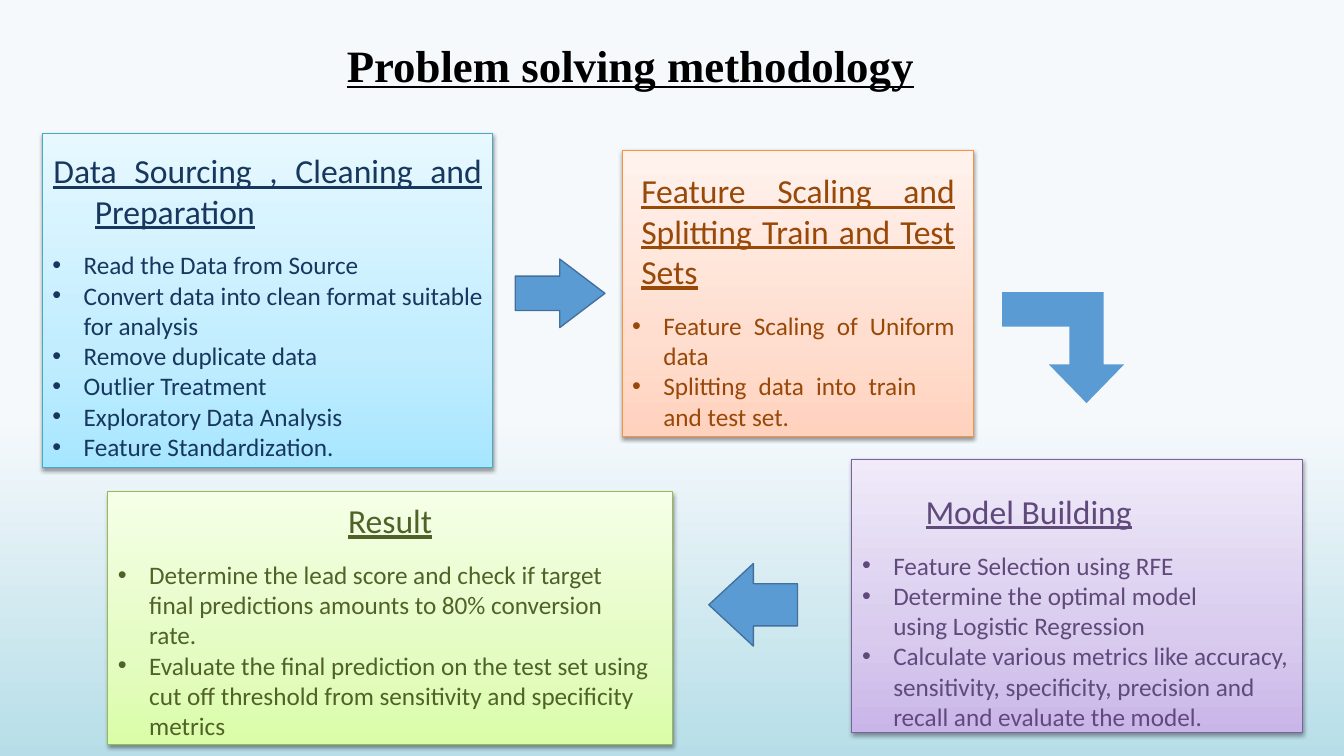
from copy import deepcopy
from dataclasses import dataclass

from lxml import etree
from pptx import Presentation
from pptx.dml.color import RGBColor
from pptx.enum.shapes import MSO_SHAPE
from pptx.enum.text import MSO_ANCHOR, PP_ALIGN
from pptx.oxml.ns import qn
from pptx.util import Inches, Pt

RECTANGLE = MSO_SHAPE.RECTANGLE
RIGHT_ARROW = MSO_SHAPE.RIGHT_ARROW
LEFT_ARROW = MSO_SHAPE.LEFT_ARROW
BENT_ARROW = MSO_SHAPE.BENT_UP_ARROW
TOP = MSO_ANCHOR.TOP
LEFT, CENTER, JUSTIFY = PP_ALIGN.LEFT, PP_ALIGN.CENTER, PP_ALIGN.JUSTIFY


@dataclass(frozen=True)
class Palette:
    """Text, line and gradient stops (percent, colour) from bottom to top."""
    text: str
    line: str
    stops: tuple


class Theme:
    title_font = "Times New Roman"
    body_font = "Calibri"
    bullet_font = "Arial"
    title_size, heading_size, bullet_size = 32, 24, 18
    heading_gap = 13.5
    title_color = "000000"
    arrow_fill, arrow_line = "5B9BD4", "41709C"
    background = ((55, "F6F9FC"), (100, "B7DEE8"))
    blue = Palette("17375E", "46AAC5", ((0, "A7E6FF"), (35, "C1EDFF"), (100, "E7F8FF")))
    orange = Palette("984807", "F69240", ((0, "FFD2BD"), (35, "FFDED0"), (100, "FFF2ED")))
    purple = Palette("604A7B", "7D60A0", ((0, "C9B5E8"), (35, "D8CBEE"), (100, "F0EAF9")))
    green = Palette("4F6228", "98B955", ((0, "DAFDA7"), (35, "E4FCC2"), (100, "F5FFE7")))


def color_stops(fill, stops, angle):
    fill.gradient_angle = angle
    for stop, (percent, color) in zip(fill.gradient_stops, stops):
        stop.position = percent / 100
        stop.color.rgb = RGBColor.from_string(color)


def add_soft_shadow(shape):
    effects = etree.SubElement(shape._element.spPr, qn("a:effectLst"))
    shadow = etree.SubElement(effects, qn("a:outerShdw"), blurRad=str(Pt(3.1)),
                              dist=str(Pt(1.6)), dir="5400000", rotWithShape="0")
    black = etree.SubElement(shadow, qn("a:srgbClr"), val="000000")
    etree.SubElement(black, qn("a:alpha"), val="38000")


def write(para, text, *, font, size, color, bold=False, underline=False, align=LEFT,
          indent=0, hanging=0, right=0, before=0, bullet=False):
    """Fill a paragraph; indent, hanging and right are in inches, before in points."""
    settings = para._p.get_or_add_pPr()
    settings.set("marL", str(Inches(indent)))
    settings.set("indent", str(-Inches(hanging)))
    settings.set("marR", str(Inches(right)))
    if bullet:
        etree.SubElement(settings, qn("a:buFont"), typeface=Theme.bullet_font)
        etree.SubElement(settings, qn("a:buChar"), char="•")
    para.alignment = align
    para.space_before = Pt(before)
    span = para.add_run()
    span.text = text
    span.font.name, span.font.size = font, Pt(size)
    span.font.bold, span.font.underline = bold, underline
    span.font.color.rgb = RGBColor.from_string(color)


class SlideBuilder:
    def __init__(self, deck, theme):
        self.theme = theme
        self.page = deck.slides.add_slide(deck.slide_layouts[6])
        fill = self.page.background.fill
        fill.gradient()
        color_stops(fill, theme.background, 270)

    def frame(self, box, top):
        frame = box.text_frame
        frame.word_wrap = True
        frame.vertical_anchor = TOP
        frame.margin_left = frame.margin_right = frame.margin_bottom = 0
        frame.margin_top = Inches(top)
        return frame

    def title(self, text, left, top, width, height):
        box = self.page.shapes.add_textbox(*map(Inches, (left, top, width, height)))
        write(self.frame(box, 0.03).paragraphs[0], text, font=self.theme.title_font,
              size=self.theme.title_size, color=self.theme.title_color,
              bold=True, underline=True)

    def shape(self, kind, bounds):
        shape = self.page.shapes.add_shape(kind, *map(Inches, bounds))
        shape.shadow.inherit = False
        return shape

    def card(self, bounds, palette, heading, bullets, *, top, heading_format, align=LEFT):
        """Draw a stage box; bullets are (text, paragraph format) pairs."""
        box = self.shape(RECTANGLE, bounds)
        box.fill.gradient()
        stop_list = box._element.spPr.find(".//" + qn("a:gsLst"))
        stop_list.append(deepcopy(stop_list[-1]))
        color_stops(box.fill, palette.stops, 90)
        box.line.color.rgb = RGBColor.from_string(palette.line)
        box.line.width = Pt(0.75)
        box._element.spPr.remove(box._element.spPr.find(qn("a:effectLst")))
        add_soft_shadow(box)

        frame = self.frame(box, top)
        style = {"font": self.theme.body_font, "color": palette.text, "align": align}
        write(frame.paragraphs[0], heading, size=self.theme.heading_size,
              underline=True, **{**style, **heading_format})
        for number, (text, extra) in enumerate(bullets):
            layout = {"indent": 0.41, "hanging": 0.31, "right": 0.1, "bullet": True,
                      "before": 0 if number else self.theme.heading_gap}
            write(frame.add_paragraph(), text, size=self.theme.bullet_size,
                  **{**style, **layout, **extra})

    def arrow(self, kind, bounds, adjustments, *, outlined=True, flipped=False):
        arrow = self.shape(kind, bounds)
        for number, value in enumerate(adjustments):
            arrow.adjustments[number] = value
        arrow.fill.solid()
        arrow.fill.fore_color.rgb = RGBColor.from_string(self.theme.arrow_fill)
        if outlined:
            arrow.line.color.rgb = RGBColor.from_string(self.theme.arrow_line)
            arrow.line.width = Pt(0.96)
        else:
            arrow.line.fill.background()
        if flipped:
            arrow._element.spPr.find(qn("a:xfrm")).set("flipV", "1")


def main():
    deck = Presentation()
    deck.slide_width, deck.slide_height = Inches(13.33), Inches(7.5)
    slide = SlideBuilder(deck, Theme)
    slide.title("Problem solving methodology", 3.44, 0.34, 7.07, 0.55)

    slide.card((0.42, 1.32, 4.47, 3.32), Theme.blue,
               "Data Sourcing , Cleaning and Preparation", [
                   ("Read the Data from Source", {}),
                   ("Convert data into clean format suitable for analysis", {}),
                   ("Remove duplicate data", {}),
                   ("Outlier Treatment", {}),
                   ("Exploratory Data Analysis", {}),
                   ("Feature Standardization.", {}),
               ], top=0.17, align=JUSTIFY,
               heading_format={"indent": 0.52, "hanging": 0.41, "right": 0.11})
    slide.card((6.17, 1.49, 3.49, 2.84), Theme.orange,
               "Feature Scaling and Splitting Train and Test Sets", [
                   ("Feature Scaling of Uniform data", {"right": 0.19}),
                   ("Splitting data into train and test set.", {"right": 0.57}),
               ], top=0.2, align=JUSTIFY,
               heading_format={"indent": 0.19, "right": 0.19})
    slide.arrow(RIGHT_ARROW, (5.11, 2.57, 0.89, 0.68), (0.5, 0.66))
    slide.card((8.45, 4.56, 4.47, 2.71), Theme.purple, "Model Building", [
        ("Feature Selection using RFE", {}),
        ("Determine the optimal model", {}),
        ("using Logistic Regression", {"bullet": False, "hanging": 0}),
        ("Calculate various metrics like accuracy, sensitivity, specificity, "
         "precision and recall and evaluate the model.", {"right": 0.05}),
    ], top=0.31, heading_format={"indent": 0.73})
    slide.arrow(LEFT_ARROW, (7.03, 5.59, 0.88, 0.82), (0.51, 0.54))
    slide.card((1.07, 4.88, 5.6, 2.51), Theme.green, "Result", [
        ("Determine the lead score and check if target final predictions "
         "amounts to 80% conversion rate.", {"right": 0.5}),
        ("Evaluate the final prediction on the test set using cut off threshold "
         "from sensitivity and specificity metrics", {}),
    ], top=0.08, heading_format={"align": CENTER})
    slide.arrow(BENT_ARROW, (9.94, 2.9, 1.21, 1.1), (0.31, 0.34, 0.35),
                outlined=False, flipped=True)
    deck.save("out.pptx")


if __name__ == "__main__":
    main()
